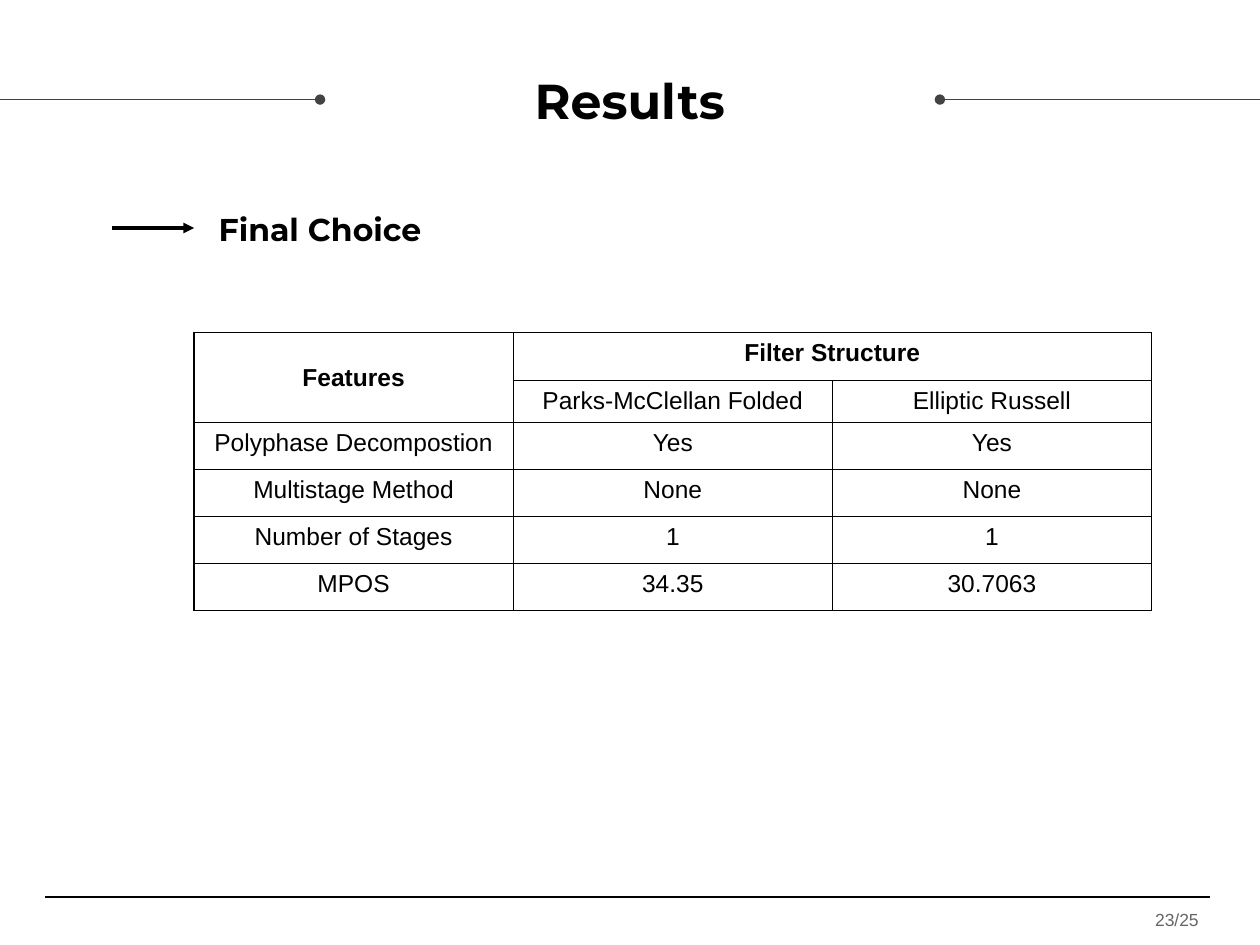
from lxml import etree
from pptx import Presentation
from pptx.dml.color import RGBColor
from pptx.enum.shapes import MSO_CONNECTOR
from pptx.enum.text import MSO_ANCHOR, PP_ALIGN
from pptx.oxml.ns import qn
from pptx.util import Pt

BLACK = RGBColor(0, 0, 0)
DARK = RGBColor(0x43, 0x43, 0x43)
GRAY = RGBColor(0x66, 0x66, 0x66)
MID = MSO_ANCHOR.MIDDLE
TOP = MSO_ANCHOR.TOP
CENTER = PP_ALIGN.CENTER
STRAIGHT = MSO_CONNECTOR.STRAIGHT

TITLE = {"name": "Montserrat", "size": Pt(28), "bold": True}
HEAD = {"name": "Montserrat", "size": Pt(18), "bold": True}
PAGE = {"name": "Arial", "size": Pt(10), "bold": False}
BODY = {"name": "Arial", "size": Pt(14), "bold": False}
STRONG = {**BODY, "bold": True}

ROWS = [
    ["Features", "Filter Structure", ""],
    ["", "Parks-McClellan Folded", "Elliptic Russell"],
    ["Polyphase Decompostion", "Yes", "Yes"],
    ["Multistage Method", "None", "None"],
    ["Number of Stages", "1", "1"],
    ["MPOS", "34.35", "30.7063"],
]
HEIGHTS = [27.4, 24] + [26.9] * 4
WIDTH = 182.4


def put_text(frame, text, style, color=BLACK):
    para = frame.paragraphs[0]
    para.alignment = CENTER
    run = para.add_run()
    run.text = text
    for key, value in style.items():
        setattr(run.font, key, value)
    run.font.color.rgb = color


def add_text(slide, box, text, style, color=BLACK, anchor=MID, pad=7.2):
    frame = slide.shapes.add_textbox(*map(Pt, box)).text_frame
    frame.word_wrap = True
    frame.vertical_anchor = anchor
    frame.margin_top = frame.margin_bottom = Pt(pad)
    put_text(frame, text, style, color)


def add_line(slide, start, end, y, color=BLACK, width=0.75, tip=None):
    line = slide.shapes.add_connector(STRAIGHT, Pt(start), Pt(y), Pt(end), Pt(y))
    line.line.color.rgb = color
    line.line.width = Pt(width)
    if tip:
        tag, kind = tip
        etree.SubElement(line.line._get_or_add_ln(), qn(tag), type=kind)
    etree.SubElement(line._element.spPr, qn("a:effectLst"))


def add_border(cell):
    props = cell._tc.get_or_add_tcPr()
    for spot, side in enumerate(("a:lnL", "a:lnR", "a:lnT", "a:lnB")):
        edge = etree.Element(qn(side), w=str(Pt(0.75)))
        fill = etree.SubElement(edge, qn("a:solidFill"))
        etree.SubElement(fill, qn("a:srgbClr"), val=str(BLACK))
        props.insert(spot, edge)


def add_grid(slide, left, top):
    count = len(ROWS[0])
    size = (left, top, WIDTH * count, sum(HEIGHTS))
    table = slide.shapes.add_table(len(ROWS), count, *map(Pt, size)).table
    table.first_row = table.horz_banding = False
    for col in table.columns:
        col.width = Pt(WIDTH)
    for row, height in zip(table.rows, HEIGHTS):
        row.height = Pt(height)
    table.cell(0, 0).merge(table.cell(1, 0))
    table.cell(0, 1).merge(table.cell(0, 2))
    for r, texts in enumerate(ROWS):
        for c, text in enumerate(texts):
            cell = table.cell(r, c)
            cell.fill.background()
            add_border(cell)
            if text:
                put_text(cell.text_frame, text, BODY if r else STRONG)
    table.cell(0, 0).vertical_anchor = MID


def main():
    deck = Presentation()
    deck.slide_width, deck.slide_height = Pt(720), Pt(540)
    slide = deck.slides.add_slide(deck.slide_layouts[6])
    for start, end in ((182.9, 0), (537.1, 720)):
        add_line(slide, start, end, 56.9, DARK, tip=("a:headEnd", "oval"))
    add_text(slide, (206.6, 12.2, 306.7, 90), "Results", TITLE)
    add_line(slide, 25.9, 691.2, 512.6)
    add_text(slide, (630, 516.2, 85, 19.4), "23/25", PAGE, GRAY, TOP, 3.6)
    add_line(slide, 64.1, 110.9, 130.3, width=2, tip=("a:tailEnd", "triangle"))
    add_text(slide, (74.9, 114.5, 216, 32.4), "Final Choice", HEAD)
    add_grid(slide, 110.9, 190.1)
    deck.save("out.pptx")


if __name__ == "__main__":
    main()
